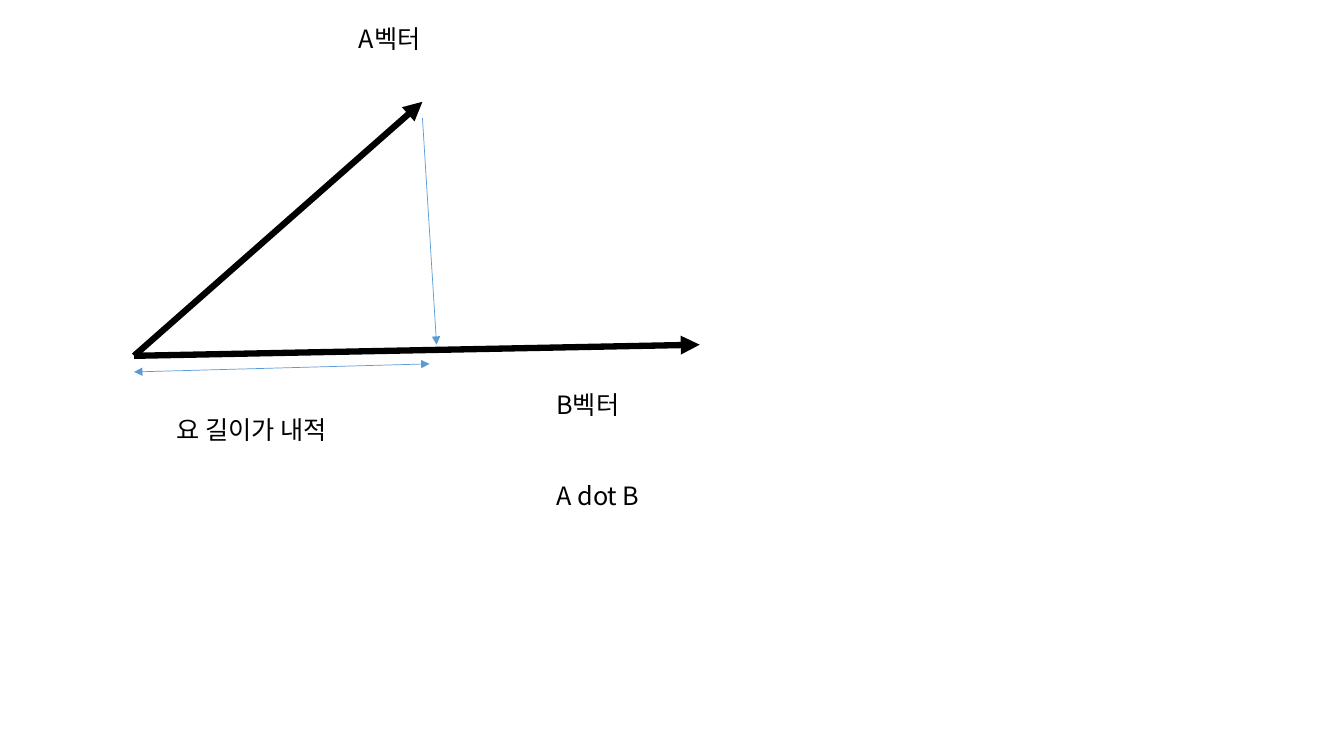
from lxml import etree
from pptx import Presentation
from pptx.dml.color import RGBColor
from pptx.enum.shapes import MSO_CONNECTOR
from pptx.enum.text import MSO_AUTO_SIZE
from pptx.oxml.ns import qn
from pptx.util import Inches, Pt

STRAIGHT = MSO_CONNECTOR.STRAIGHT
GROW = MSO_AUTO_SIZE.SHAPE_TO_FIT_TEXT
BLANK = 6


def color(code):
    return RGBColor.from_string(code)


class Sketch:
    """Holds the text style and the current slide."""

    def __init__(self, slide, face, size, ink):
        self.slide = slide
        self.face = face
        self.style = {"name": face, "size": Pt(size)}
        self.ink = ink

    def arrow(self, start, end, code, width, both=False):
        ends = [Inches(v) for v in (*start, *end)]
        link = self.slide.shapes.add_connector(STRAIGHT, *ends)
        link.line.color.rgb = color(code)
        link.line.width = Pt(width)
        line = link.line._ln
        for tag in ("a:headEnd", "a:tailEnd") if both else ("a:tailEnd",):
            etree.SubElement(line, qn(tag), type="triangle")
        etree.SubElement(link._element.spPr, qn("a:effectLst"))

    def label(self, box, *lines, gap=0):
        """Adds a text box; gap is the space in points between its lines."""
        shape = self.slide.shapes.add_textbox(*[Inches(v) for v in box])
        frame = shape.text_frame
        frame.word_wrap = False
        frame.auto_size = GROW
        for i, text in enumerate(lines):
            para = frame.add_paragraph() if i else frame.paragraphs[0]
            para.space_before = Pt(gap if i else 0)
            run = para.add_run()
            run.text = text
            for key, value in self.style.items():
                setattr(run.font, key, value)
            run.font.color.rgb = color(self.ink)
            east = etree.Element(qn("a:ea"), typeface=self.face)
            run.font._element.find(qn("a:latin")).addnext(east)


def main():
    deck = Presentation()
    deck.slide_width = Inches(13.33)
    deck.slide_height = Inches(7.5)
    slide = deck.slides.add_slide(deck.slide_layouts[BLANK])
    black, blue = "000000", "5B9BD5"
    sketch = Sketch(slide, "Noto Sans CJK KR", 18, black)

    origin = (1.33, 3.53)
    for tip in ((4.19, 1.01), (6.94, 3.42)):
        sketch.arrow(origin, tip, black, 4.5)
    sketch.label((3.46, 0.18, 0.87, 0.4), "A벡터")
    sketch.label((5.42, 3.81, 1.09, 1.31), "B벡터", "A dot B", gap=43.5)

    sketch.arrow((4.19, 1.17), (4.33, 3.42), blue, 0.5)
    sketch.arrow((1.33, 3.69), (4.26, 3.61), blue, 0.5, both=True)
    sketch.label((1.65, 4.06, 1.9, 0.4), "요 길이가 내적")

    deck.save("out.pptx")


if __name__ == "__main__":
    main()
